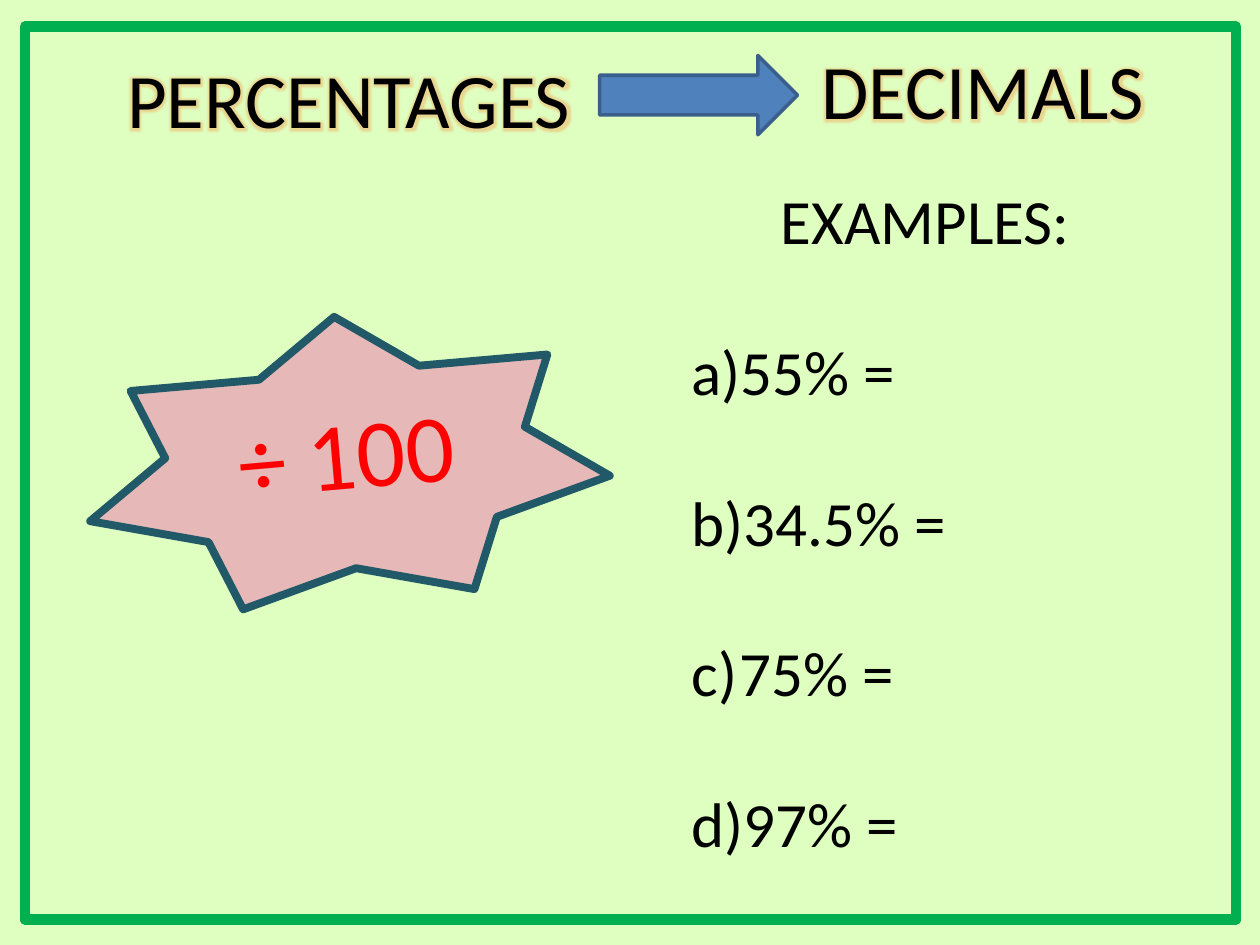
from lxml import etree
from pptx import Presentation
from pptx.dml.color import RGBColor
from pptx.enum.shapes import MSO_SHAPE
from pptx.enum.text import MSO_ANCHOR, PP_ALIGN
from pptx.oxml.ns import qn
from pptx.util import Inches, Pt

BLACK = RGBColor(0x00, 0x00, 0x00)
RED = RGBColor(0xFF, 0x00, 0x00)
PALE_GREEN = RGBColor(0xDF, 0xFF, 0xC0)
GREEN = RGBColor(0x00, 0xB0, 0x50)
BLUE = RGBColor(0x4F, 0x81, 0xBD)
DARK_BLUE = RGBColor(0x3A, 0x5F, 0x8C)
PINK = RGBColor(0xE6, 0xB9, 0xB8)
TEAL = RGBColor(0x21, 0x59, 0x68)
GLOW_ORANGE = RGBColor(0xF7, 0x96, 0x46)


def write(para, text, size=36, color=BLACK, align=PP_ALIGN.LEFT, space=0, glow=None):
    """Put formatted text into a paragraph."""
    para.alignment = align
    para.space_before = Pt(space)
    span = para.add_run()
    span.text = text
    span.font.name = "Calibri"
    span.font.size = Pt(size)
    span.font.color.rgb = color
    if glow:
        effects = etree.Element(qn("a:effectLst"))
        halo = etree.SubElement(effects, qn("a:glow"), rad=str(Pt(5)))
        tint = etree.SubElement(halo, qn("a:srgbClr"), val=str(glow))
        etree.SubElement(tint, qn("a:alpha"), val="40000")
        span.font.fill._xPr.find(qn("a:solidFill")).addnext(effects)


def number(para):
    """Give a paragraph a lettered bullet with a hanging indent."""
    indent = Inches(0.38)
    properties = para._p.get_or_add_pPr()
    properties.set("marL", str(indent))
    properties.set("indent", str(-indent))
    etree.SubElement(properties, qn("a:buFont"), typeface="+mj-lt")
    etree.SubElement(properties, qn("a:buAutoNum"), type="alphaLcParenR")


class Lesson:
    def __init__(self, page):
        self.page = page
        fill = page.background.fill
        fill.solid()
        fill.fore_color.rgb = PALE_GREEN

    def title(self, text, left, top, width, height, **style):
        box = self.page.shapes.title
        box.left, box.top = Inches(left), Inches(top)
        box.width, box.height = Inches(width), Inches(height)
        box.text_frame.word_wrap = False
        box.text_frame.vertical_anchor = MSO_ANCHOR.TOP
        write(box.text_frame.paragraphs[0], text, **style)

    def shape(self, kind, left, top, width, height, line, weight, fill=None):
        shape = self.page.shapes.add_shape(
            kind, Inches(left), Inches(top), Inches(width), Inches(height))
        shape.shadow.inherit = False
        if fill:
            shape.fill.solid()
            shape.fill.fore_color.rgb = fill
        else:
            shape.fill.background()
        shape.line.color.rgb = line
        shape.line.width = Pt(weight)
        return shape

    def text(self, left, top, width, height):
        box = self.page.shapes.add_textbox(
            Inches(left), Inches(top), Inches(width), Inches(height))
        box.text_frame.word_wrap = True
        return box.text_frame


def main():
    deck = Presentation()
    deck.slide_width, deck.slide_height = Inches(10), Inches(7.5)
    lesson = Lesson(deck.slides.add_slide(deck.slide_layouts[5]))

    # Border
    lesson.shape(MSO_SHAPE.RECTANGLE, 0.2, 0.21, 9.61, 7.09, GREEN, 6)

    # Heading: percentages to decimals
    heading = {"size": 44, "glow": GLOW_ORANGE}
    lesson.title("PERCENTAGES", 0.91, 0.36, 3.76, 0.84, **heading)
    lesson.shape(MSO_SHAPE.RIGHT_ARROW, 4.76, 0.44, 1.57, 0.63, DARK_BLUE, 2, BLUE)
    target = lesson.text(6.42, 0.29, 3.31, 0.84)
    write(target.paragraphs[0], "DECIMALS", **heading)

    # Rule in a star
    star = lesson.shape(MSO_SHAPE.STAR_7_POINT, 0.68, 2.51, 4.14, 2.25, TEAL, 4.5, PINK)
    star.rotation = 355
    star.text_frame.vertical_anchor = MSO_ANCHOR.MIDDLE
    write(star.text_frame.paragraphs[0], " ÷ 100 ", size=55, color=RED,
          align=PP_ALIGN.CENTER)

    # Examples, one line apart
    examples = lesson.text(5.39, 1.39, 4.02, 5.55)
    write(examples.paragraphs[0], "EXAMPLES: ", align=PP_ALIGN.CENTER)
    for example in ("55% =", "34.5% =", "75% =", "97% ="):
        para = examples.add_paragraph()
        number(para)
        write(para, example, space=43)

    deck.save("out.pptx")


if __name__ == "__main__":
    main()
